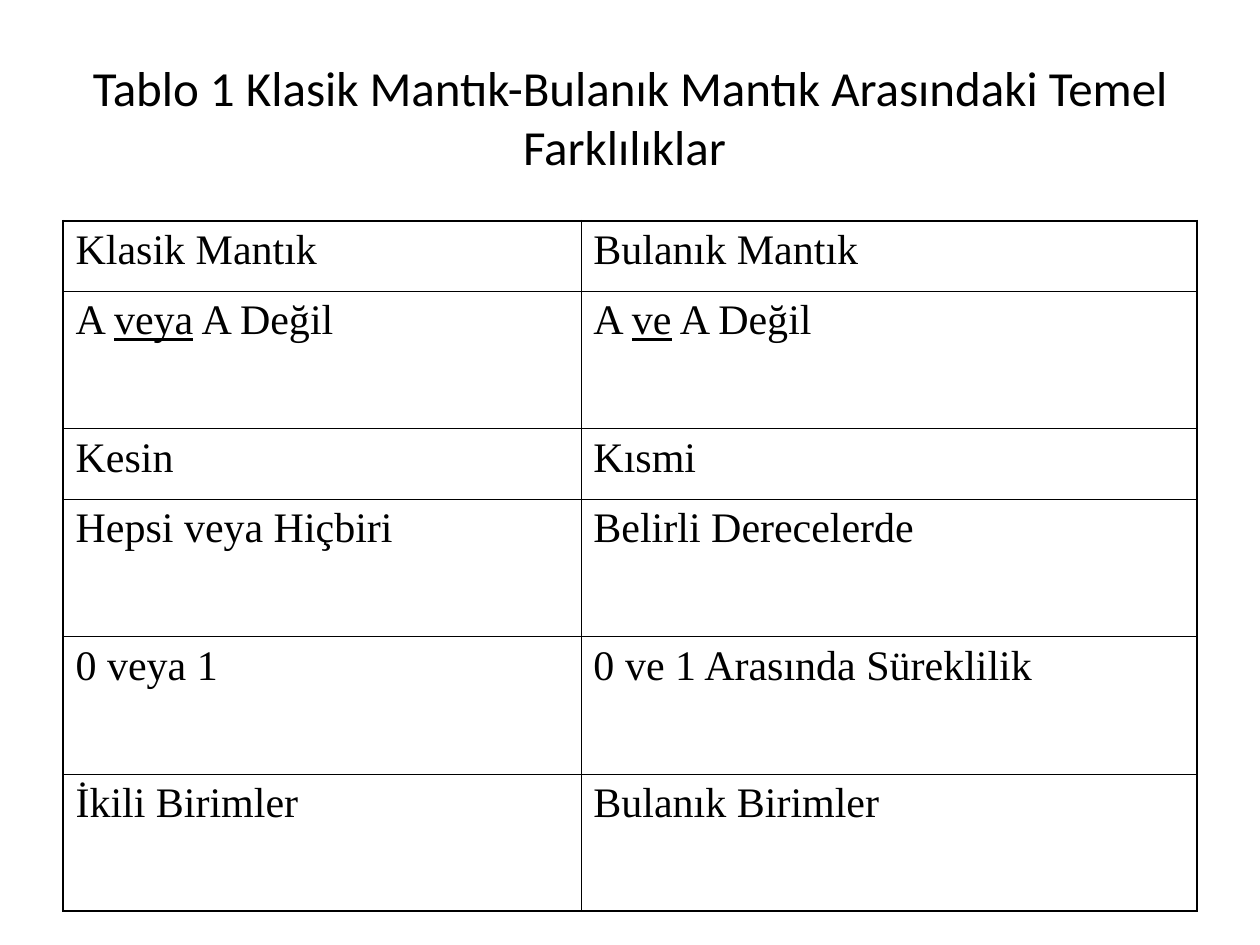
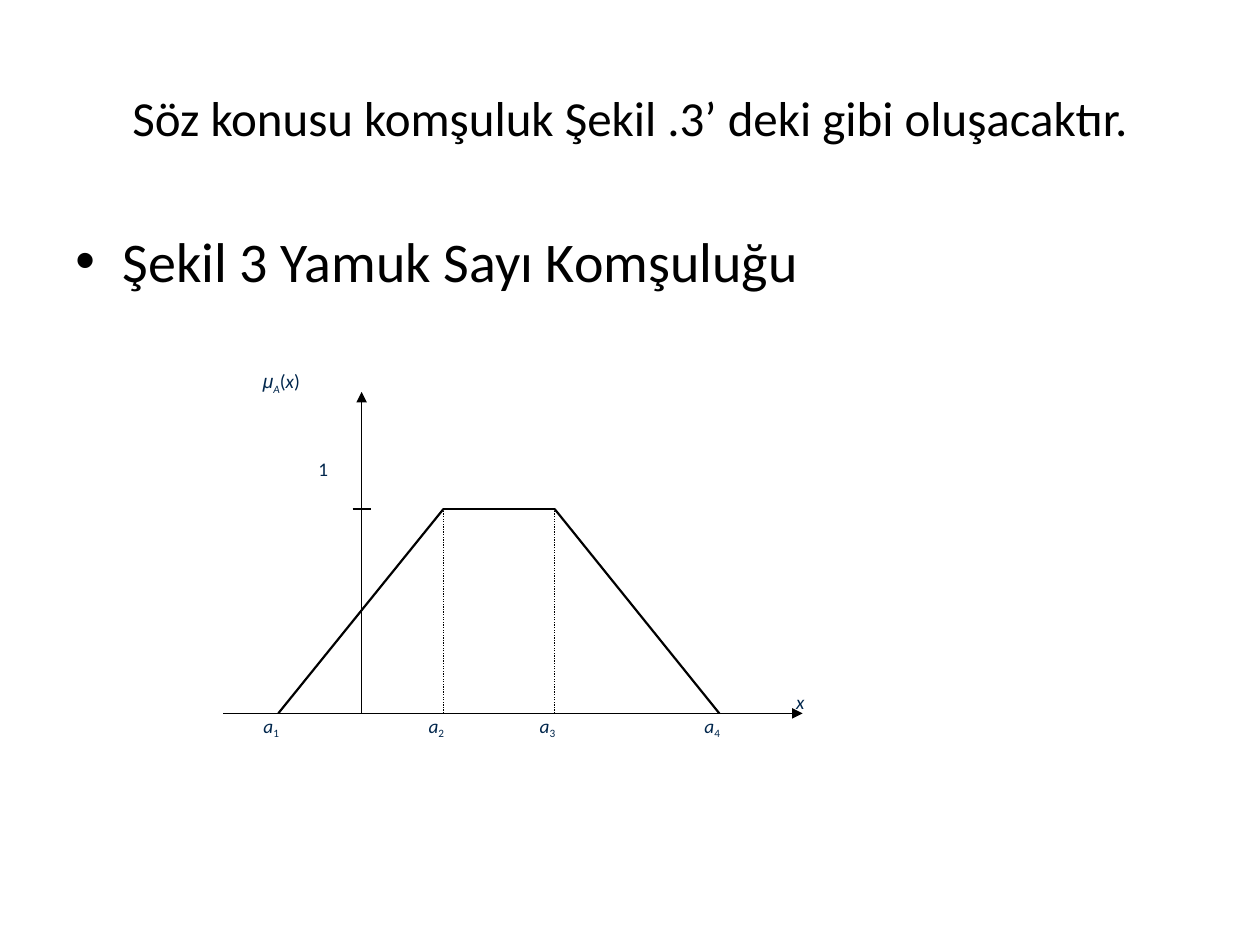
import pptx
import pptx.dml.color
import pptx.enum.dml
import pptx.enum.shapes
import pptx.enum.text
import pptx.oxml.ns
import pptx.util
from lxml import etree

Cm, Pt = pptx.util.Cm, pptx.util.Pt
ALIGN = pptx.enum.text.PP_ALIGN
ANCHOR = pptx.enum.text.MSO_ANCHOR
DASH = pptx.enum.dml.MSO_LINE

BLACK = pptx.dml.color.RGBColor(0x00, 0x00, 0x00)
NAVY = pptx.dml.color.RGBColor(0x00, 0x26, 0x4C)
SANS, SERIF, GREEK = "Calibri", "Times New Roman", "Arial"

# Content area shared by both slides
LEFT, WIDTH, BODY = 1.27, 22.86, 4.45

# Table rows: height, then the runs of both cells
ROWS = [
    (1.42, [("Klasik Mantık", "")], [("Bulanık Mantık", "")]),
    (2.77, [("A ", ""), ("veya", "u"), (" A Değil", "")],
           [("A ", ""), ("ve", "u"), (" A Değil", "")]),
    (1.42, [("Kesin", "")], [("Kısmi", "")]),
    (2.77, [("Hepsi veya Hiçbiri", "")], [("Belirli Derecelerde", "")]),
    (2.77, [("0 veya 1", "")], [("0 ve 1 Arasında Süreklilik", "")]),
    (2.77, [("İkili Birimler", "")], [("Bulanık Birimler", "")]),
]
COLS = [10.44, 12.42]
OUTER, INNER = 1.08, 0.45

# Diagram: corners a1 to a4, base and top of the trapezoid
CORNERS = [5.61, 8.94, 11.18, 14.5]
BASE, TOP = 14.38, 10.26
AXIS = 7.29


def add_xml(parent, tag, **attrs):
    return etree.SubElement(parent, pptx.oxml.ns.qn(tag), attrs)


def write(para, runs, size, color=BLACK, font=SANS, align=ALIGN.LEFT):
    """Styles: i italic, u underlined, s subscript, g Greek font."""
    para.alignment = align
    para.font.size = Pt(size)
    para.font.color.rgb = color
    para.font.name = font
    for text, style in runs:
        run = para.add_run()
        run.text = text
        if "i" in style:
            run.font.italic = True
        if "u" in style:
            run.font.underline = True
        if "g" in style:
            run.font.name = GREEK
        if "s" in style:
            run.font._element.set("baseline", "-25000")


def add_box(slide, left, top, width, height, anchor=ANCHOR.TOP):
    box = slide.shapes.add_textbox(Cm(left), Cm(top), Cm(width), Cm(height))
    frame = box.text_frame
    frame.word_wrap = True
    frame.vertical_anchor = anchor
    return frame


def add_title(slide, text):
    frame = add_box(slide, LEFT, 0.76, WIDTH, 3.18, ANCHOR.MIDDLE)
    write(frame.paragraphs[0], [(text, "")], 28, align=ALIGN.CENTER)


def add_bullet(slide, text):
    para = add_box(slide, LEFT, BODY, WIDTH, 12.57).paragraphs[0]
    props = para._p.get_or_add_pPr()
    props.set("marL", str(Cm(0.95)))
    props.set("indent", str(-Cm(0.95)))
    add_xml(props, "a:buFont", typeface=GREEK)
    add_xml(props, "a:buChar", char="•")
    write(para, [(text, "")], 32)


def add_label(slide, left, top, runs, width=1.68, inset=0.25, drop=0.13):
    frame = add_box(slide, left, top, width, 1.75)
    frame.margin_left, frame.margin_top = Cm(inset), Cm(drop)
    write(frame.paragraphs[0], runs, 11, NAVY, align=ALIGN.JUSTIFY)


def add_line(slide, start, end, weight=0.75, arrow=False, dash=None):
    ends = [Cm(value) for value in (*start, *end)]
    kind = pptx.enum.shapes.MSO_CONNECTOR.STRAIGHT
    line = slide.shapes.add_connector(kind, *ends)
    line.line.color.rgb = BLACK
    line.line.width = Pt(weight)
    if dash:
        line.line.dash_style = dash
    if arrow:
        add_xml(line.line._get_or_add_ln(), "a:tailEnd", type="triangle")
    add_xml(line._element.spPr, "a:effectLst")


def set_edges(cell, outer):
    """Draw all four edges, heavier on the sides named in outer."""
    props = cell._tc.get_or_add_tcPr()
    for side in "LRTB":
        weight = OUTER if side in outer else INNER
        edge = add_xml(props, "a:ln" + side, w=str(Pt(weight)))
        fill = add_xml(edge, "a:solidFill")
        add_xml(fill, "a:srgbClr", val=str(BLACK))


def add_grid(slide):
    high = sum(row[0] for row in ROWS)
    table = slide.shapes.add_table(len(ROWS), len(COLS), Cm(LEFT), Cm(BODY),
                                   Cm(WIDTH), Cm(high)).table
    table.first_row = table.horz_banding = False
    for col, width in zip(table.columns, COLS):
        col.width = Cm(width)
    for r, (height, *cells) in enumerate(ROWS):
        table.rows[r].height = Cm(height)
        for c, runs in enumerate(cells):
            cell = table.cell(r, c)
            outer = "LR"[c]
            if r == 0:
                outer += "T"
            if r == len(ROWS) - 1:
                outer += "B"
            set_edges(cell, outer)
            cell.fill.background()
            write(cell.text_frame.paragraphs[0], runs, 24, font=SERIF)


def add_graph(slide):
    # Axes and the tick at 1
    add_line(slide, (AXIS, BASE), (AXIS, 7.9), arrow=True)
    add_line(slide, (4.5, BASE), (16.18, BASE), arrow=True)
    add_line(slide, (AXIS - 0.18, TOP), (AXIS + 0.18, TOP))

    # Trapezoid and its dotted drops
    points = list(zip(CORNERS, [BASE, TOP, TOP, BASE]))
    for start, end in zip(points, points[1:]):
        add_line(slide, start, end, 1.25)
    for x in CORNERS[1:3]:
        add_line(slide, (x, BASE), (x, TOP), dash=DASH.ROUND_DOT)

    # Labels
    for num, x in enumerate(CORNERS, 1):
        add_label(slide, x - 0.55, 13.79, [("a", "i"), (str(num), "s")],
                  drop=0.6)
    add_label(slide, 15.62, 13.79, [("x", "i")], inset=0.43)
    add_label(slide, 6.17, 9.09, [("1", "")])
    add_label(slide, 5.05, 7.32, [("μ", "ig"), ("A", "is"), ("(", ""),
                                  ("x", "i"), (")", "")], width=3.33)


def main():
    deck = pptx.Presentation()
    deck.slide_width, deck.slide_height = Cm(25.4), Cm(19.05)
    blank = deck.slide_layouts[6]

    # Comparison table
    slide = deck.slides.add_slide(blank)
    add_title(slide, "Tablo 1 Klasik Mantık-Bulanık Mantık Arasındaki "
                     "Temel Farklılıklar ")
    add_grid(slide)

    # Trapezoid diagram
    slide = deck.slides.add_slide(blank)
    add_title(slide, "Söz konusu komşuluk Şekil .3’ deki gibi oluşacaktır.")
    add_bullet(slide, "Şekil 3 Yamuk Sayı Komşuluğu")
    add_graph(slide)

    deck.save("out.pptx")


if __name__ == "__main__":
    main()
